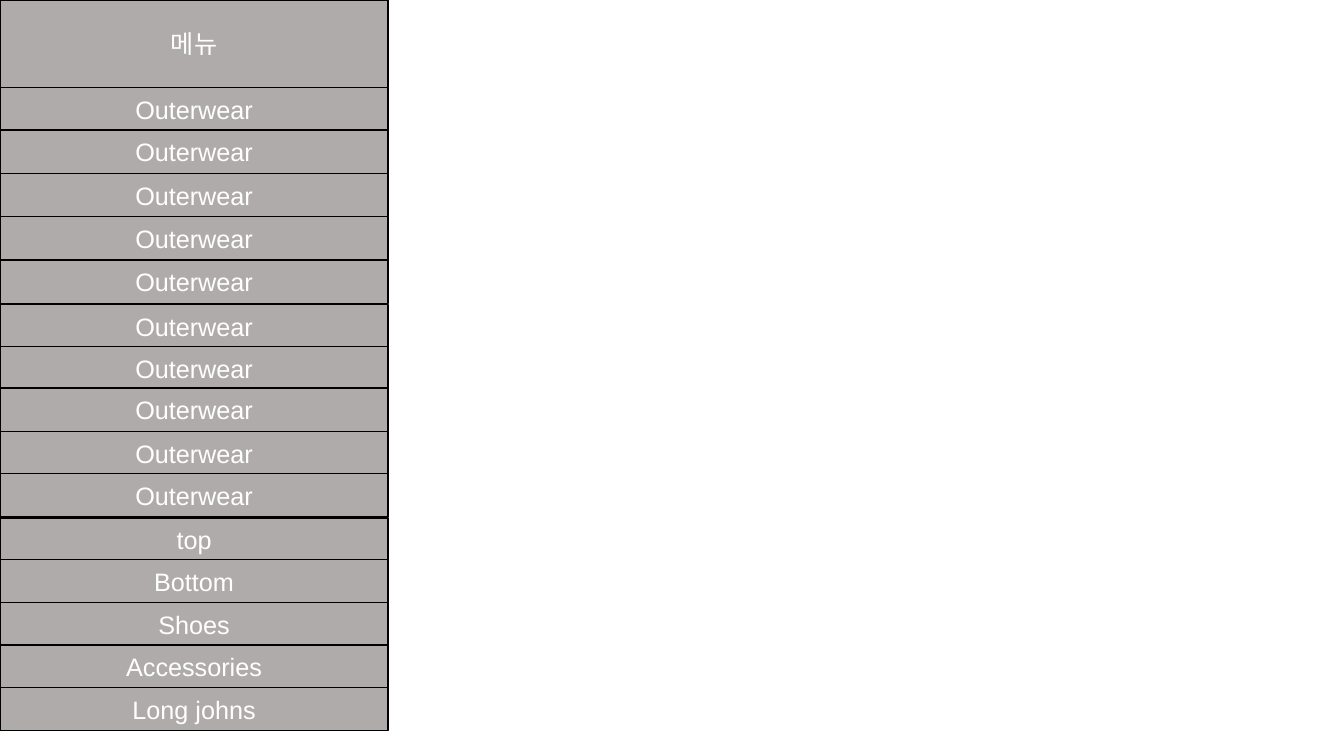
from lxml import etree
from pptx import Presentation
from pptx.dml.color import RGBColor
from pptx.enum import shapes, text
from pptx.oxml import ns
from pptx.util import Inches, Pt

GREY = RGBColor(0xAF, 0xAB, 0xAB)
BLACK = RGBColor(0, 0, 0)
WHITE = RGBColor(255, 255, 255)

WIDTH, HEAD, ROW = 3.85, 0.87, 0.43
ITEMS = ["Outerwear"] * 10 + [
    "top", "Bottom", "Shoes", "Accessories", "Long johns"]
TOPS = [0.87, 1.29, 1.72, 2.15, 2.58, 3.02, 3.44, 3.85, 4.28, 4.7,
        5.14, 5.55, 5.98, 6.4, 6.82]


class Menu:
    """Style of the menu and the slide it stands on."""

    frame = {"word_wrap": True, "auto_size": text.MSO_AUTO_SIZE.NONE,
             "vertical_anchor": text.MSO_ANCHOR.MIDDLE}
    font = {"size": Pt(18), "bold": False}

    def __init__(self, slide):
        self.slide = slide

    def style(self, box, label, face):
        box.fill.solid()
        box.fill.fore_color.rgb = GREY
        box.line.color.rgb = BLACK
        box.line.width = Pt(1)
        for key, value in self.frame.items():
            setattr(box.text_frame, key, value)
        para = box.text_frame.paragraphs[0]
        para.alignment = text.PP_ALIGN.CENTER
        run = para.add_run()
        run.text = label
        for key, value in {**self.font, "name": face}.items():
            setattr(run.font, key, value)
        run.font.color.rgb = WHITE
        # East Asian letters take their face from a:ea
        props = run._r.get_or_add_rPr()
        etree.SubElement(props, ns.qn("a:ea")).set("typeface", face)

    def title(self, label):
        box = self.slide.shapes.title
        place = {"left": 0, "top": 0, "width": WIDTH, "height": HEAD}
        for key, value in place.items():
            setattr(box, key, Inches(value))
        self.style(box, label, "Noto Sans CJK KR")

    def item(self, label, top):
        box = self.slide.shapes.add_shape(
            shapes.MSO_SHAPE.RECTANGLE, Inches(0), Inches(top),
            Inches(WIDTH), Inches(ROW))
        box.shadow.inherit = False
        self.style(box, label, "Arial")


def main():
    deck = Presentation()
    deck.slide_width, deck.slide_height = Inches(13.33), Inches(7.5)
    menu = Menu(deck.slides.add_slide(deck.slide_layouts[5]))

    # Menu heading
    menu.title("메뉴")

    # Menu entries, top to bottom
    for label, top in zip(ITEMS, TOPS):
        menu.item(label, top)

    deck.save("out.pptx")


if __name__ == "__main__":
    main()
